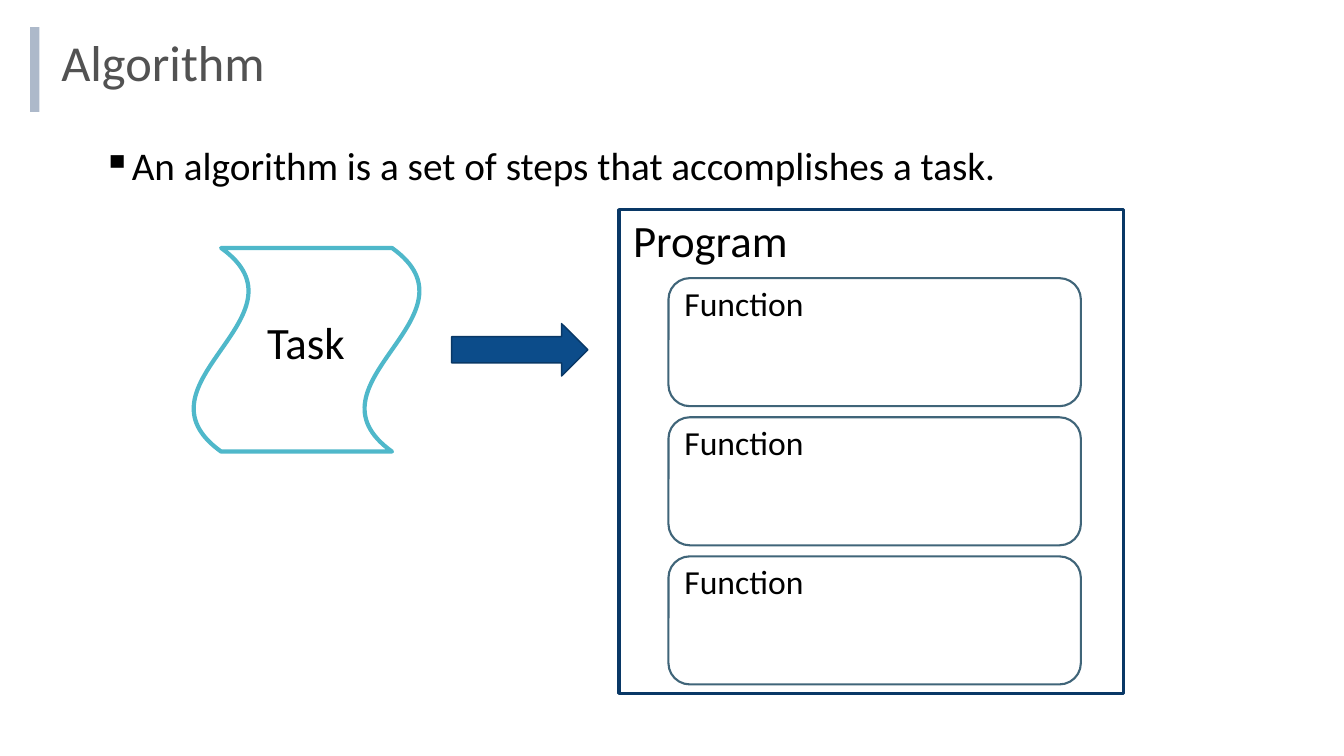
from dataclasses import dataclass

from lxml import etree
from pptx import Presentation
from pptx.dml.color import RGBColor
from pptx.enum.shapes import MSO_SHAPE
from pptx.enum.text import MSO_ANCHOR
from pptx.oxml.ns import qn
from pptx.util import Inches, Pt

RECT = MSO_SHAPE.RECTANGLE
ROUND = MSO_SHAPE.ROUNDED_RECTANGLE
ARROW = MSO_SHAPE.RIGHT_ARROW
WAVE = MSO_SHAPE.WAVE
TOP, MIDDLE = MSO_ANCHOR.TOP, MSO_ANCHOR.MIDDLE


@dataclass
class Theme:
    font: str = "Calibri"
    ink: str = "000000"
    grey: str = "525252"
    bar: str = "ADB9CA"
    teal: str = "4FB8CA"
    navy: str = "093866"
    blue: str = "0C4C8A"
    slate: str = "406579"
    title: int = 36
    label: int = 32
    body: int = 28
    small: int = 24


theme = Theme()
deck = Presentation()
deck.slide_width, deck.slide_height = Inches(13.33), Inches(7.5)
slide = deck.slides.add_slide(deck.slide_layouts[6])


def add_text(text, box, size, color=theme.ink, anchor=TOP, wrap=False,
             spacing=None, bullet=None):
    frame = slide.shapes.add_textbox(*map(Inches, box)).text_frame
    frame.word_wrap = wrap
    frame.vertical_anchor = anchor
    para = frame.paragraphs[0]
    para.line_spacing = spacing
    run = para.add_run()
    run.text = text
    run.font.name = theme.font
    run.font.size = Pt(size)
    run.font.color.rgb = RGBColor.from_string(color)
    if bullet:
        para.space_before = Pt(10)
        props = para._p.get_or_add_pPr()
        props.set("marL", str(Inches(0.25)))
        props.set("indent", str(Inches(-0.25)))
        etree.SubElement(props, qn("a:buChar"), char=bullet)


def add_box(kind, box, fill=None, line=None, width=1):
    shape = slide.shapes.add_shape(kind, *map(Inches, box))
    shape.shadow.inherit = False
    if fill:
        shape.fill.solid()
        shape.fill.fore_color.rgb = RGBColor.from_string(fill)
    else:
        shape.fill.background()
    if line:
        shape.line.color.rgb = RGBColor.from_string(line)
        shape.line.width = Pt(width)
    else:
        shape.line.fill.background()
    return shape


# Heading and definition
add_box(RECT, (0.3, 0.27, 0.09, 0.84), fill=theme.bar)
add_text("Algorithm", (0.51, 0.4, 11.5, 0.5), theme.title, color=theme.grey,
         anchor=MIDDLE, wrap=True, spacing=0.9)
add_text("An algorithm is a set of steps that accomplishes a task.",
         (0.92, 1.41, 11.5, 5.35), theme.body, wrap=True, spacing=0.9,
         bullet="▪")

# Task, shown as a sheet turned on its side
sheet = add_box(WAVE, (2.03, 2.34, 2.02, 2.26), line=theme.teal, width=3)
sheet.rotation = 90
add_text("Task", (2.55, 3.07, 0.98, 0.64), theme.label)

# Arrow from task to program
add_box(ARROW, (4.48, 3.21, 1.35, 0.52), fill=theme.blue, line=theme.navy)

# Program and its functions
add_box(RECT, (6.14, 2.08, 5, 4.8), line=theme.navy, width=2.25)
add_text("Program", (6.18, 2.06, 1.75, 0.64), theme.label)
for row in range(3):
    top = 2.76 + 1.38 * row
    add_box(ROUND, (6.63, top, 4.09, 1.27), line=theme.slate, width=1.5)
    add_text("Function", (6.69, top, 1.4, 0.5), theme.small)

deck.save("out.pptx")
